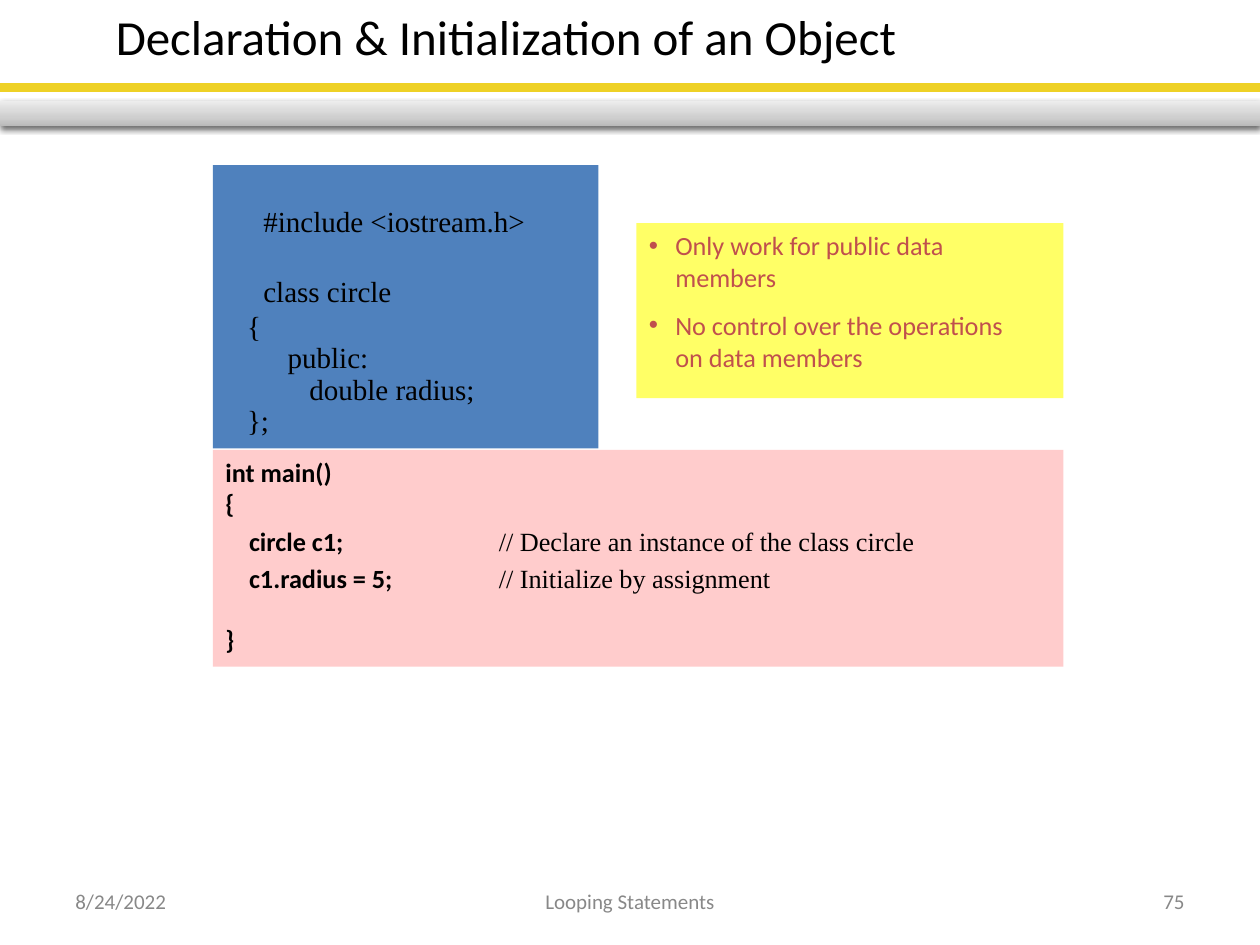
from dataclasses import dataclass

import pptx
import pptx.dml.color
import pptx.enum.shapes
import pptx.enum.text
import pptx.oxml
import pptx.util
from pptx.util import Inches

NS = 'xmlns:a="http://schemas.openxmlformats.org/drawingml/2006/main"'
ALIGN = pptx.enum.text.PP_ALIGN
ANCHOR = pptx.enum.text.MSO_ANCHOR


@dataclass(frozen=True)
class Theme:
    sans: str = "Calibri"
    serif: str = "Times New Roman"
    ink: str = "000000"
    muted: str = "888888"
    accent: str = "C0504D"
    class_fill: str = "4F81BD"
    main_fill: str = "FFCCCC"
    note_fill: str = "FFFF66"
    stripe: str = "EED126"
    bar_stops: tuple = ((0, "BABABA"), (35, "CFCFCF"), (100, "EDEDED"))
    title_size: float = 28
    class_size: float = 16.6
    text_size: float = 15
    footer_size: float = 12


THEME = Theme()


def rgb(value):
    return pptx.dml.color.RGBColor.from_string(value)


def set_font(target, name, size, color, bold=False):
    """Format a paragraph or a run."""
    f = target.font
    f.name, f.size, f.bold = name, pptx.util.Pt(size), bold
    f.color.rgb = rgb(color)


def place(sp, box):
    sp.left, sp.top, sp.width, sp.height = (Inches(v) for v in box)


def set_frame(sp, anchor=ANCHOR.TOP, top=0.05):
    """Set wrapping, insets and anchor; return the text frame."""
    tf = sp.text_frame
    tf.word_wrap = True
    tf.auto_size = pptx.enum.text.MSO_AUTO_SIZE.NONE
    tf.vertical_anchor = anchor
    tf.margin_left = tf.margin_right = Inches(0.1)
    tf.margin_top, tf.margin_bottom = Inches(top), Inches(0.05)
    return tf


def add_rect(slide, box, fill):
    sp = slide.shapes.add_shape(pptx.enum.shapes.MSO_SHAPE.RECTANGLE,
                                *(Inches(v) for v in box))
    sp.shadow.inherit = False
    sp.fill.solid()
    sp.fill.fore_color.rgb = rgb(fill)
    sp.line.fill.background()
    return sp


def add_paragraph(tf, index, before=0):
    p = tf.paragraphs[0] if index == 0 else tf.add_paragraph()
    p.alignment = ALIGN.LEFT
    p.space_before = pptx.util.Pt(before)
    return p


def add_header(slide, box):
    """Title above a yellow stripe and a shaded grey bar."""
    x, y, w, _ = box
    stripe = add_rect(slide, (x, y + 0.67, w, 0.05), THEME.stripe)
    stripe.line.color.rgb = rgb(THEME.stripe)
    stripe.line.width = pptx.util.Pt(2)

    bar = add_rect(slide, (x, y + 0.8, w, 0.2), THEME.bar_stops[0][1])
    props = bar._element.spPr
    stops = "".join(f'<a:gs pos="{pos * 1000}"><a:srgbClr val="{color}"/></a:gs>'
                    for pos, color in THEME.bar_stops)
    gradient = pptx.oxml.parse_xml(
        f'<a:gradFill {NS} rotWithShape="1"><a:gsLst>{stops}</a:gsLst>'
        '<a:lin ang="16200000" scaled="0"/></a:gradFill>')
    solid = props.find(pptx.oxml.ns.qn("a:solidFill"))
    props.replace(solid, gradient)
    effects = props.find(pptx.oxml.ns.qn("a:effectLst"))
    effects.append(pptx.oxml.parse_xml(
        f'<a:outerShdw {NS} blurRad="40000" dist="20000" dir="5400000" '
        'rotWithShape="0"><a:srgbClr val="000000"><a:alpha val="60000"/>'
        '</a:srgbClr></a:outerShdw>'))

    title = slide.shapes.title
    place(title, (x + 0.12, y, 7.79, 0.57))
    p = set_frame(title).paragraphs[0]
    p.text = "Declaration & Initialization of an Object"
    p.alignment = ALIGN.CENTER
    set_font(p, THEME.sans, THEME.title_size, THEME.ink)


def add_class_code(slide, box):
    tf = set_frame(add_rect(slide, box, THEME.class_fill), top=0.33)
    lines = (  # left indent, space before, code
        (0.13, 0, "   #include <iostream.h>"),
        (0.13, 22, "   class circle"),
        (0, 2, "   {"),
        (0.38, 0, "  public:"),
        (0.38, 0, "     double radius;"),
        (0, 0, "   };"),
    )
    for i, (left, before, code) in enumerate(lines):
        p = add_paragraph(tf, i, before)
        p._p.get_or_add_pPr().set("marL", str(Inches(left)))
        p.line_spacing = pptx.util.Pt(18)
        p.text = code
        set_font(p, THEME.serif, THEME.class_size, THEME.ink)


def add_main_code(slide, box):
    tf = set_frame(add_rect(slide, box, THEME.main_fill))
    lines = (  # space before, code, comment
        (0, "int main()", ""),
        (0, "{", ""),
        (3.4, "    circle c1;", "// Declare an instance of the class circle"),
        (3.4, "    c1.radius = 5;", "// Initialize by assignment"),
        (17, "}", ""),
    )
    for i, (before, code, comment) in enumerate(lines):
        p = add_paragraph(tf, i, before)
        if comment:
            p._p.get_or_add_pPr().append(pptx.oxml.parse_xml(
                f'<a:tabLst {NS}><a:tab pos="{Inches(2.17)}" algn="l"/></a:tabLst>'))
        r = p.add_run()
        r.text = code
        set_font(r, THEME.sans, THEME.text_size, THEME.ink, bold=True)
        if comment:
            r = p.add_run()
            r.text = "\t" + comment
            set_font(r, THEME.serif, THEME.text_size, THEME.ink)


def add_notes_list(slide, box):
    """Bulleted remarks on a yellow panel."""
    body = slide.placeholders[1]
    place(body, box)
    body.fill.solid()
    body.fill.fore_color.rgb = rgb(THEME.note_fill)
    tf = set_frame(body)
    items = ("Only work for public data\vmembers",
             "No control over the operations\von data members")
    for i, item in enumerate(items):
        p = add_paragraph(tf, i, before=9.7 * i)
        props = p._p.get_or_add_pPr()
        props.set("marL", str(Inches(0.21)))
        props.set("indent", str(Inches(-0.21)))
        for bullet in (f'<a:buClr {NS}><a:srgbClr val="{THEME.accent}"/></a:buClr>',
                       f'<a:buFont {NS} typeface="Arial"/>',
                       f'<a:buChar {NS} char="•"/>'):
            props.append(pptx.oxml.parse_xml(bullet))
        p.text = item
        set_font(p, THEME.sans, THEME.text_size, THEME.accent)


def add_footer(slide, box):
    x, y, w, h = box
    side, middle = 2.33, 3.17
    parts = (
        (x, side, "8/24/2022", ALIGN.LEFT),
        (x + (w - middle) / 2, middle, "Looping Statements", ALIGN.CENTER),
        (x + w - side, side, "75", ALIGN.RIGHT),
    )
    for left, width, text, align in parts:
        sp = slide.shapes.add_textbox(*(Inches(v) for v in (left, y, width, h)))
        p = set_frame(sp, ANCHOR.MIDDLE).paragraphs[0]
        p.text, p.alignment = text, align
        set_font(p, THEME.sans, THEME.footer_size, THEME.muted)


def main():
    prs = pptx.Presentation()
    prs.slide_width, prs.slide_height = Inches(10), Inches(7.5)
    slide = prs.slides.add_slide(prs.slide_layouts[1])
    add_header(slide, (0, 0, 10, 1))
    add_class_code(slide, (1.69, 1.31, 3.06, 2.25))
    add_main_code(slide, (1.69, 3.57, 6.75, 1.72))
    add_notes_list(slide, (5.05, 1.77, 3.39, 1.39))
    add_footer(slide, (0.5, 6.95, 9, 0.4))
    prs.save("out.pptx")


if __name__ == "__main__":
    main()
